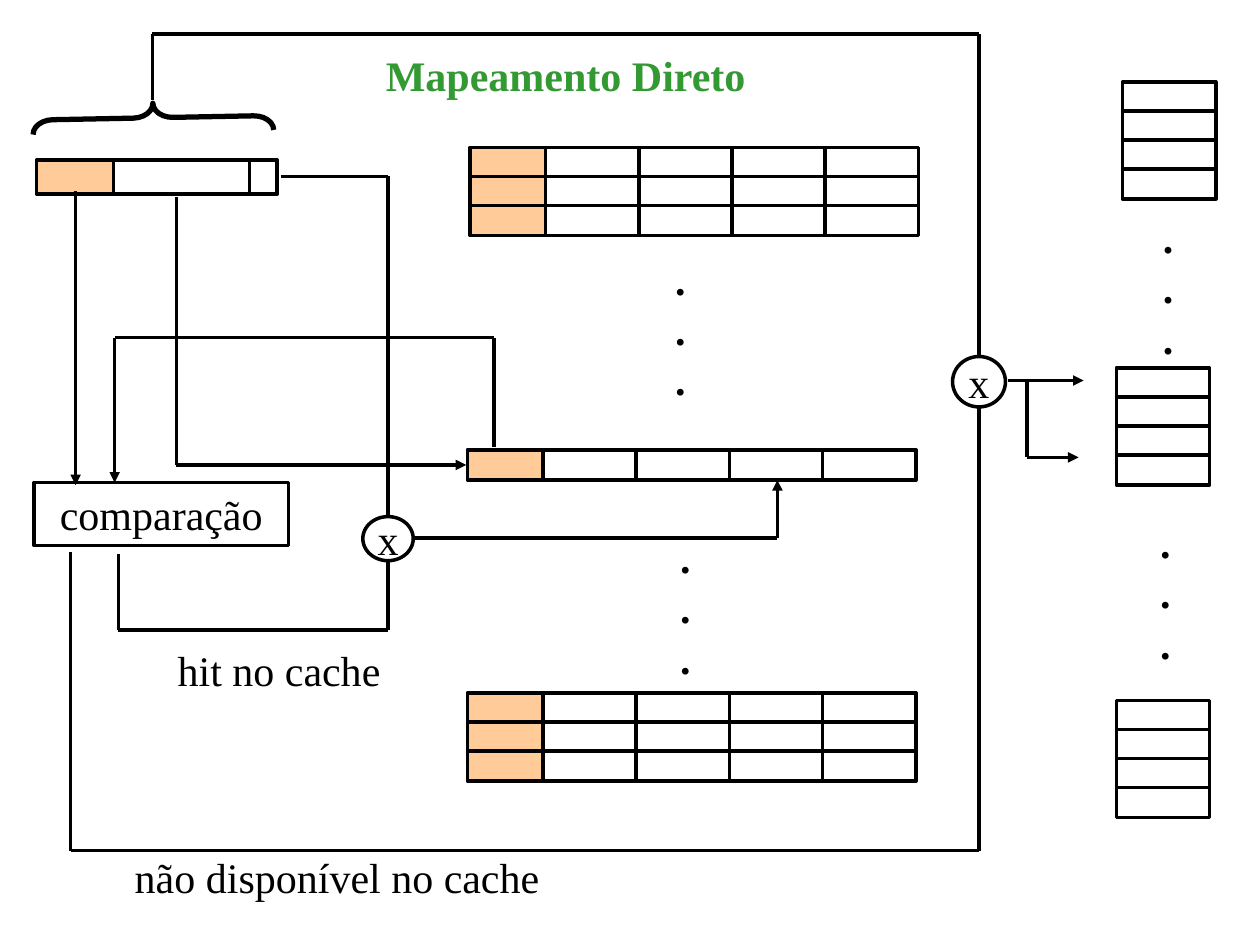
from itertools import pairwise
from pptx import Presentation
from pptx.dml.color import RGBColor
from pptx.enum.shapes import MSO_CONNECTOR, MSO_SHAPE
from pptx.enum.text import MSO_ANCHOR, PP_ALIGN
from pptx.oxml.ns import qn
from pptx.util import Inches, Pt
from lxml.etree import SubElement

BLACK = RGBColor(0, 0, 0)
WHITE = RGBColor(255, 255, 255)
PEACH = RGBColor(0xFF, 0xCC, 0x99)
GREEN = RGBColor(0x33, 0x99, 0x33)
FONT = "Times New Roman"

ADDRESS = [(0, 0.64, PEACH), (0.61, 1.16, WHITE), (1.69, 0.22, WHITE)]
CACHE = [(0, 0.64, PEACH)] + [(0.6 + 0.74 * i, 0.74, WHITE) for i in range(4)]
MEMORY = [(0, 0.74, WHITE)]
GRIDS = [
    (0.29, 1.27, ADDRESS, 1, 0.27),
    (3.73, 1.17, CACHE, 3, 0.24),
    (3.71, 3.57, CACHE, 1, 0.24),
    (3.71, 5.5, CACHE, 3, 0.24),
    (8.91, 0.65, MEMORY, 4, 0.24),
    (8.86, 2.92, MEMORY, 4, 0.24),
    (8.86, 5.56, MEMORY, 4, 0.24),
]
ROW_STEP = 0.23

ROUTES = [
    ([(0.6, 1.52), (0.6, 3.85)], True),
    ([(1.4, 1.56), (1.4, 3.69), (3.7, 3.69)], True),
    ([(3.92, 3.55), (3.92, 2.68), (0.91, 2.68), (0.91, 3.83)], True),
    ([(0.94, 4.4), (0.94, 5), (3.08, 5), (3.08, 4.44)], False),
    ([(2.23, 1.4), (3.08, 1.4), (3.08, 4.1)], False),
    ([(3.25, 4.27), (6.17, 4.27), (6.17, 3.81)], True),
    ([(0.56, 4.38), (0.56, 6.75), (7.77, 6.75), (7.77, 3.23)], False),
    ([(1.21, 0.79), (1.21, 0.27), (7.77, 0.27), (7.77, 2.83)], False),
    ([(8, 3.02), (8.6, 3.02)], True),
    ([(8.15, 3.02), (8.15, 3.63), (8.56, 3.63)], True),
]

DOTS = [(5.26, 1.96), (5.3, 4.17), (9.13, 1.63), (9.11, 4.05)]
LABELS = [
    ("Mapeamento Direto", 2.96, 0.34, 3.06, GREEN, True),
    ("hit no cache", 1.31, 5.07, 1.81, BLACK, False),
    ("não disponível no cache", 0.97, 6.71, 3.41, BLACK, False),
]
GATES = [(2.88, 4.1, 0.4, 0.35), (7.56, 2.83, 0.42, 0.4)]

deck = Presentation()
deck.slide_width, deck.slide_height = Inches(10), Inches(7.5)
slide = deck.slides.add_slide(deck.slide_layouts[6])
shapes = slide.shapes


def add_box(kind, at, fill=None, width=2):
    box = shapes.add_shape(kind, *map(Inches, at))
    box.shadow.inherit = False
    if fill is None:
        box.fill.background()
    else:
        box.fill.solid()
        box.fill.fore_color.rgb = fill
    box.line.color.rgb = BLACK
    box.line.width = Pt(width)
    return box


def write(box, lines, color=BLACK, bold=False, wrap=False):
    frame = box.text_frame
    frame.word_wrap = wrap
    frame.text = "\n".join(lines)
    for para in frame.paragraphs:
        para.alignment = PP_ALIGN.CENTER
        para.font.name = FONT
        para.font.size = Pt(24)
        para.font.bold = bold
        para.font.color.rgb = color


def add_label(lines, at, color=BLACK, bold=False):
    write(shapes.add_textbox(*map(Inches, at)), lines, color, bold)


def add_line(start, end, arrow):
    line = shapes.add_connector(MSO_CONNECTOR.STRAIGHT, *map(Inches, start + end))
    line.line.color.rgb = BLACK
    line.line.width = Pt(2)
    if arrow:
        SubElement(line.line._get_or_add_ln(), qn("a:tailEnd"), type="triangle")
    SubElement(line._element.spPr, qn("a:effectLst"))


for left, top, cells, rows, height in GRIDS:
    for row in range(rows):
        for shift, width, fill in cells:
            at = (left + shift, top + row * ROW_STEP, width, height)
            add_box(MSO_SHAPE.RECTANGLE, at, fill)

for points, arrow in ROUTES:
    for start, end in pairwise(points):
        add_line(start, end, arrow and end == points[-1])

brace = add_box(MSO_SHAPE.LEFT_BRACE, (1.1, -0.02, 0.23, 1.91), width=3)
brace.adjustments[0] = 0.69
brace.rotation = 88.9

check = add_box(MSO_SHAPE.RECTANGLE, (0.27, 3.83, 2.02, 0.5), width=2.25)
write(check, ["comparação"], wrap=True)

for at in GATES:
    gate = add_box(MSO_SHAPE.OVAL, at, WHITE)
    write(gate, ["x"])
    gate.text_frame.vertical_anchor = MSO_ANCHOR.MIDDLE

for left, top in DOTS:
    add_label(["."] * 3, (left, top, 0.28, 1.3), bold=True)

for text, left, top, width, color, bold in LABELS:
    add_label([text], (left, top, width, 0.5), color, bold)

deck.save("out.pptx")
